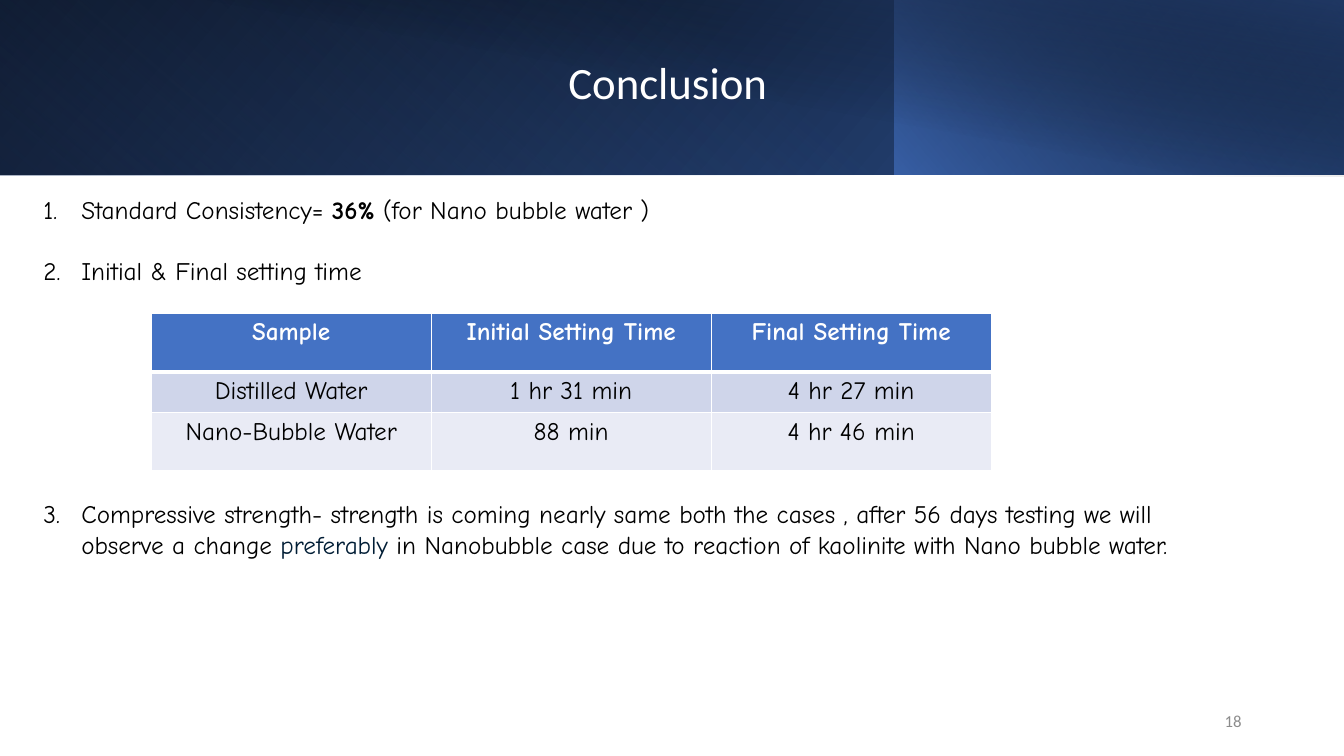
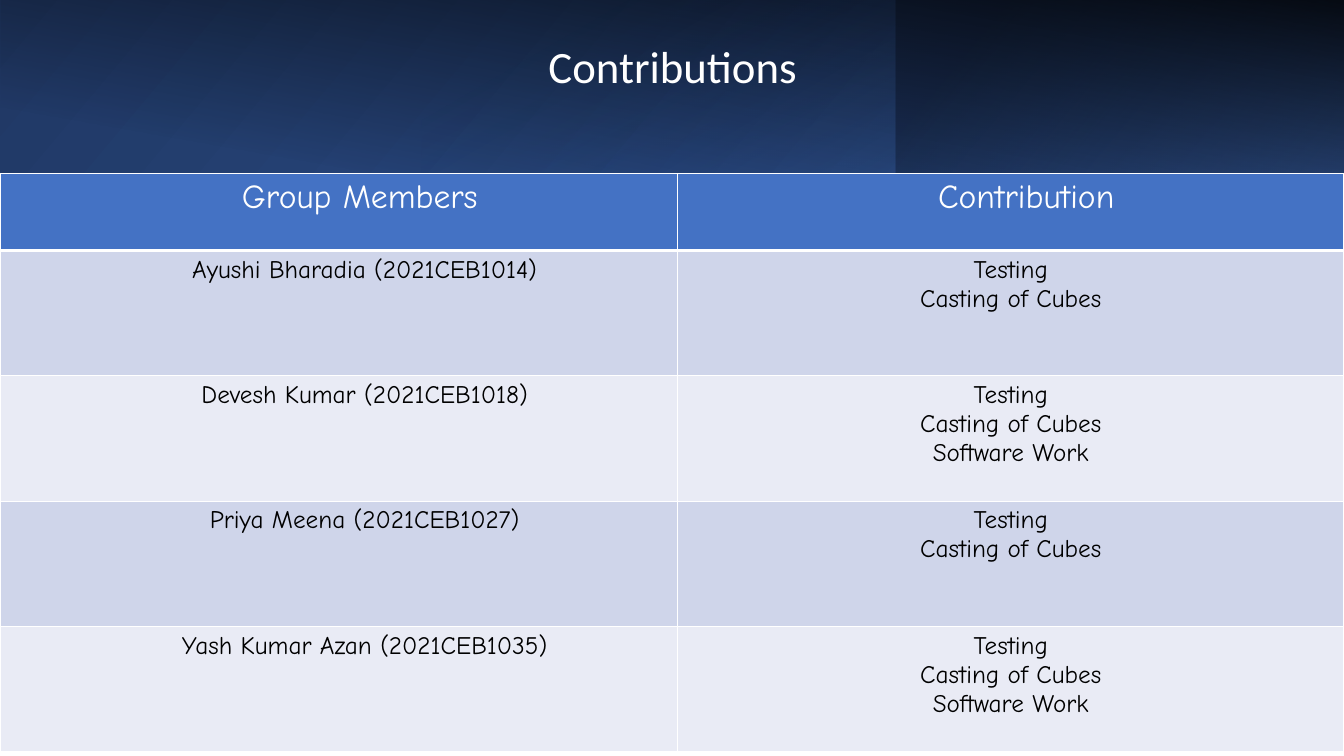
from dataclasses import dataclass

from lxml import etree
from pptx import Presentation
from pptx.dml.color import RGBColor
from pptx.enum.shapes import MSO_SHAPE
from pptx.enum.text import MSO_ANCHOR, PP_ALIGN
from pptx.oxml.ns import qn
from pptx.util import Pt

RECTANGLE = MSO_SHAPE.RECTANGLE
TOP, MIDDLE = MSO_ANCHOR.TOP, MSO_ANCHOR.MIDDLE
LEFT, CENTER, RIGHT = PP_ALIGN.LEFT, PP_ALIGN.CENTER, PP_ALIGN.RIGHT

SLIDE_WIDTH, SLIDE_HEIGHT = 960, 540
TITLE_FONT, BODY_FONT = "Calibri", "Comic Neue"
TITLE_SIZE, BODY_SIZE, NUMBER_SIZE = 32, 18, 12
BLACK, WHITE, GRAY = "000000", "FFFFFF", "8C8C8C"
NAVY, ROYAL, BLUE = "203864", "2F5597", "4472C4"
INK = "001D35"
ROW_FILLS = ("CFD5EA", "E9EBF5")
CELL_MARGIN = 7.2
LIST_INDENT = 27


@dataclass
class Band:
    """A gradient layer; stops are (position, colour, opacity), all in percent."""
    box: tuple
    stops: tuple
    angle: int
    flipped: bool = False
    rotation: int = 0


CONCLUSION_BANDS = (
    Band((0, 0, SLIDE_WIDTH, 125), ((0, BLACK, 100), (100, ROYAL, 100)), 140, True),
    Band((0, 0, 640, 125), ((20, BLUE, 0), (100, NAVY, 55)), 230, True, 180),
    Band((639, 0, 321, 125), ((0, BLUE, 66), (100, BLACK, 30)), 220, True),
    Band((36, 0, 924, 126), ((50, BLACK, 0), (99, NAVY, 52)), 280),
)
CONTRIBUTION_BANDS = (
    Band((0, 0, SLIDE_WIDTH, 124), ((0, NAVY, 100), (100, ROYAL, 100)), 140, True),
    Band((640, 0, 320, 124), ((19, NAVY, 68), (100, BLUE, 79)), 320, True, 180),
    Band((418, -418, 124, SLIDE_WIDTH), ((16, BLACK, 0), (99, BLACK, 87)), 190,
         rotation=90),
    Band((301, 0, 339, 124), ((0, BLUE, 17), (74, NAVY, 0)), 240),
)

# Each finding: space before, then runs of (text, colour, bold)
FINDINGS = (
    (0, (("Standard Consistency= ", BLACK, False), ("36%", BLACK, True),
         (" (for Nano bubble water )", BLACK, False))),
    (22, (("Initial & Final setting time", BLACK, False),)),
    (152, (("Compressive strength- strength is coming nearly same both the cases , "
            "after 56 days testing we will observe a change ", BLACK, False),
           ("preferably", INK, False),
           (" in Nanobubble case due to reaction of kaolinite with Nano bubble water.",
            BLACK, False))),
)
SETTING_TIMES = (
    ("Sample", "Initial Setting Time", "Final Setting Time"),
    ("Distilled Water", "1 hr 31 min", "4 hr 27 min"),
    ("Nano-Bubble Water", "88 min", "4 hr 46 min"),
)
CUBE_WORK = "Testing\nCasting of Cubes"
FULL_WORK = CUBE_WORK + "\nSoftware Work"
CONTRIBUTIONS = (
    ("Group Members", "Contribution"),
    ("Ayushi Bharadia (2021CEB1014)", CUBE_WORK),
    ("Devesh Kumar (2021CEB1018)", FULL_WORK),
    ("Priya Meena (2021CEB1027)", CUBE_WORK),
    ("Yash Kumar Azan (2021CEB1035)", FULL_WORK),
)


def color(hex_value):
    return RGBColor.from_string(hex_value)


def points(values):
    return [Pt(value) for value in values]


def add_run(paragraph, text, size, font_name, hex_value, bold=False):
    run = paragraph.add_run()
    run.text = text
    run.font.size = Pt(size)
    run.font.name = font_name
    run.font.bold = bold
    run.font.color.rgb = color(hex_value)


def add_band(slide, band):
    shape = slide.shapes.add_shape(RECTANGLE, *points(band.box))
    shape.shadow.inherit = False
    shape.line.fill.background()
    shape.rotation = band.rotation
    properties = shape.element.spPr
    if band.flipped:
        properties.find(qn("a:xfrm")).set("flipH", "1")
    shape.fill.gradient()
    shape.fill.gradient_angle = 360 - band.angle
    stop_list = properties.find(".//" + qn("a:gsLst"))
    for default_stop in list(stop_list):
        stop_list.remove(default_stop)
    for position, hex_value, opacity in band.stops:
        stop = etree.SubElement(stop_list, qn("a:gs"), pos=str(position * 1000))
        tint = etree.SubElement(stop, qn("a:srgbClr"), val=hex_value)
        if opacity < 100:
            etree.SubElement(tint, qn("a:alpha"), val=str(opacity * 1000))


def add_text_frame(slide, box, anchor=TOP):
    frame = slide.shapes.add_textbox(*points(box)).text_frame
    frame.word_wrap = True
    frame.vertical_anchor = anchor
    return frame


def add_label(slide, box, text, size, hex_value, alignment):
    paragraph = add_text_frame(slide, box, MIDDLE).paragraphs[0]
    paragraph.alignment = alignment
    add_run(paragraph, text, size, TITLE_FONT, hex_value)


def add_header(slide, bands, title, title_box):
    for band in bands:
        add_band(slide, band)
    add_label(slide, title_box, title, TITLE_SIZE, WHITE, CENTER)


def add_numbered_list(slide, box, items):
    frame = add_text_frame(slide, box)
    for index, (space_before, runs) in enumerate(items):
        paragraph = frame.add_paragraph() if index else frame.paragraphs[0]
        properties = paragraph._p.get_or_add_pPr()
        properties.set("marL", str(Pt(LIST_INDENT)))
        properties.set("indent", str(-Pt(LIST_INDENT)))
        etree.SubElement(properties, qn("a:buFont"), typeface=BODY_FONT)
        etree.SubElement(properties, qn("a:buAutoNum"), type="arabicPeriod")
        paragraph.alignment = LEFT
        if space_before:
            paragraph.space_before = Pt(space_before)
        for text, hex_value, bold in runs:
            add_run(paragraph, text, BODY_SIZE, BODY_FONT, hex_value, bold)


def set_borders(cell, top, bottom):
    properties = cell._tc.get_or_add_tcPr()
    widths = (("a:lnL", 1), ("a:lnR", 1), ("a:lnT", top), ("a:lnB", bottom))
    for index, (side, width) in enumerate(widths):
        border = etree.Element(qn(side), w=str(Pt(width)))
        fill = etree.SubElement(border, qn("a:solidFill"))
        etree.SubElement(fill, qn("a:srgbClr"), val=WHITE)
        properties.insert(index, border)


def fill_cell(cell, text, size, hex_value, bold):
    for index, line in enumerate(text.split("\n")):
        frame = cell.text_frame
        paragraph = frame.add_paragraph() if index else frame.paragraphs[0]
        paragraph.alignment = CENTER
        add_run(paragraph, line, size, BODY_FONT, hex_value, bold)


def add_banded_table(slide, origin, column_widths, row_heights, rows,
                     header_size=BODY_SIZE, header_bold=False,
                     header_indents=None, body_indents=None):
    """Indents are extra left margins, one for each column."""
    no_indents = (0,) * len(column_widths)
    box = (*origin, sum(column_widths), sum(row_heights))
    table = slide.shapes.add_table(len(rows), len(column_widths), *points(box)).table
    for column, width in zip(table.columns, column_widths):
        column.width = Pt(width)
    for row_index, (texts, height) in enumerate(zip(rows, row_heights)):
        table.rows[row_index].height = Pt(height)
        is_header = row_index == 0
        indents = (header_indents if is_header else body_indents) or no_indents
        row_fill = BLUE if is_header else ROW_FILLS[(row_index - 1) % 2]
        for column_index, (text, indent) in enumerate(zip(texts, indents)):
            cell = table.cell(row_index, column_index)
            cell.margin_left = Pt(CELL_MARGIN + indent)
            cell.fill.solid()
            cell.fill.fore_color.rgb = color(row_fill)
            set_borders(cell, 3 if row_index == 1 else 1, 3 if is_header else 1)
            if is_header:
                fill_cell(cell, text, header_size, WHITE, header_bold)
            else:
                fill_cell(cell, text, BODY_SIZE, BLACK, False)


def build_conclusion(slide):
    add_header(slide, CONCLUSION_BANDS, "Conclusion", (29, 35, 896, 46))
    add_label(slide, (678, 500, 216, 29), "18", NUMBER_SIZE, GRAY, RIGHT)
    add_numbered_list(slide, (24, 135.5, 839, 338), FINDINGS)
    add_banded_table(slide, (108, 223.5), (200,) * 3, (42, 29, 42), SETTING_TIMES,
                     header_bold=True)


def build_contributions(slide):
    add_header(slide, CONTRIBUTION_BANDS, "Contributions", (351, 14, 259, 66))
    add_banded_table(slide, (0, 124), (484, 476), (55,) + (89.5,) * 4, CONTRIBUTIONS,
                     header_size=24, header_indents=(30, 22), body_indents=(37, 0))


def main():
    presentation = Presentation()
    presentation.slide_width = Pt(SLIDE_WIDTH)
    presentation.slide_height = Pt(SLIDE_HEIGHT)
    blank_layout = presentation.slide_layouts[6]
    for build in (build_conclusion, build_contributions):
        build(presentation.slides.add_slide(blank_layout))
    presentation.save("out.pptx")


if __name__ == "__main__":
    main()
